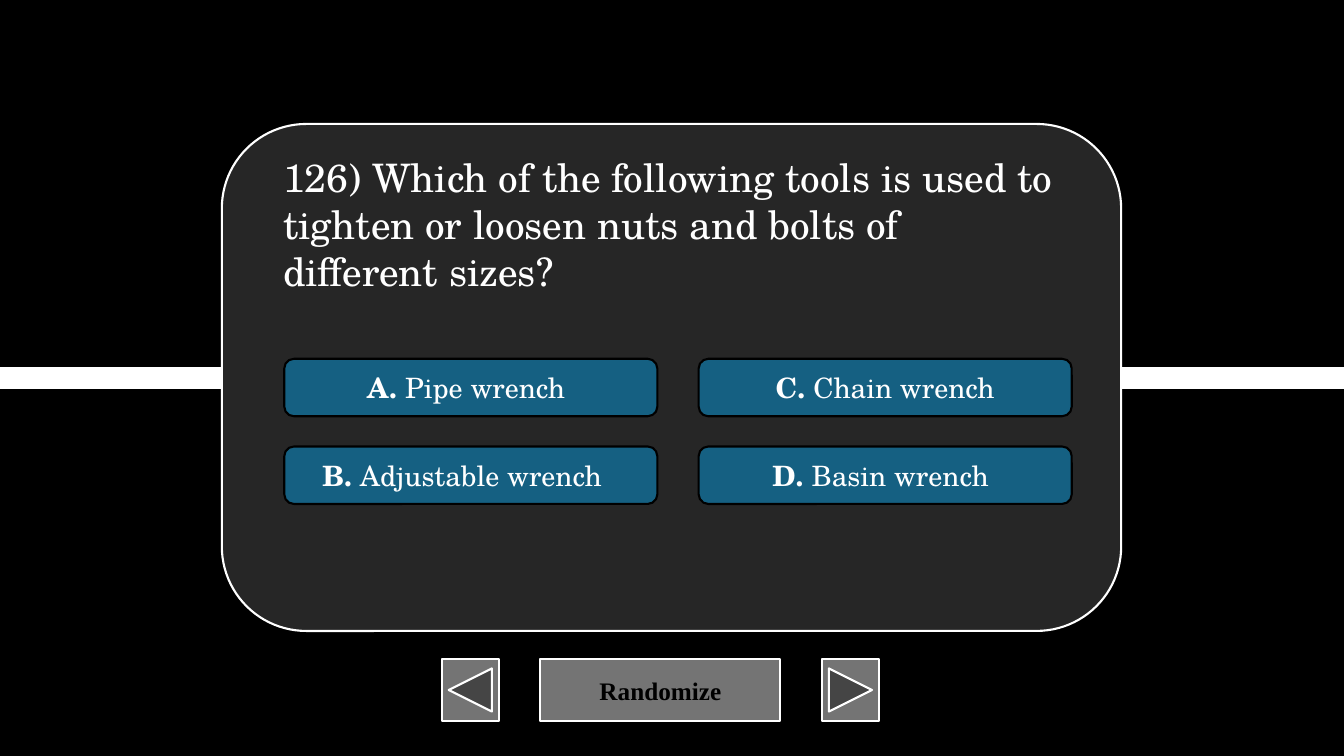
from lxml import etree
from pptx import Presentation
from pptx import util as u
from pptx.dml.color import RGBColor
from pptx.enum import shapes, text
from pptx.oxml.ns import qn

BLACK = RGBColor(0x00, 0x00, 0x00)
WHITE = RGBColor(0xFF, 0xFF, 0xFF)
CARD_GRAY = RGBColor(0x26, 0x26, 0x26)
BUTTON_GRAY = RGBColor(0x74, 0x74, 0x74)
ANSWER_BLUE = RGBColor(0x15, 0x60, 0x82)
QUIZ_FONT = "TeX Gyre Schola"
BUTTON_FONT = "Times New Roman"
SLIDE_WIDTH, SLIDE_HEIGHT = 13.33, 7.5
SHAPE = shapes.MSO_SHAPE

QUESTION = ("126) Which of the following tools is used to tighten or loosen "
            "nuts and bolts of different sizes?")
ANSWERS = [
    ("A. ", "Pipe wrench", 0.09),
    ("B. ", "Adjustable wrench", 0.17),
    ("C. ", "Chain wrench", 0),
    ("D. ", "Basin wrench", 0.09),
]


def add_span(para, words, *, size, font, color, bold=False):
    """Append a formatted run to a paragraph."""
    span = para.add_run()
    span.text = words
    span.font.size = u.Pt(size)
    span.font.name = font
    span.font.bold = bold
    span.font.color.rgb = color


def add_box(page, kind, left, top, width, height, fill, line):
    """Add a filled, outlined shape and return it."""
    box = page.shapes.add_shape(kind, u.Inches(left), u.Inches(top),
                                u.Inches(width), u.Inches(height))
    box.shadow.inherit = False
    box.fill.solid()
    box.fill.fore_color.rgb = fill
    box.line.color.rgb = line
    box.line.width = u.Pt(1.5)
    return box


def center_para(box):
    """Return the first paragraph of a shape, centred both ways."""
    box.text_frame.vertical_anchor = text.MSO_ANCHOR.MIDDLE
    para = box.text_frame.paragraphs[0]
    para.alignment = text.PP_ALIGN.CENTER
    return para


def add_band(page, left, middle, width):
    """Draw the thick white line behind the card."""
    band = page.shapes.add_connector(
        shapes.MSO_CONNECTOR.STRAIGHT, u.Inches(left), u.Inches(middle),
        u.Inches(left + width), u.Inches(middle))
    band.line.color.rgb = WHITE
    band.line.width = u.Pt(16)
    etree.SubElement(band._element.spPr, qn("a:effectLst"))


def add_navigation(page, left, top, width, height):
    """Place the randomize button between the back and next buttons."""
    arrow, gap = 0.57, 0.41
    middle = width - 2 * (arrow + gap)
    buttons = [
        (SHAPE.ACTION_BUTTON_CUSTOM, arrow + gap, middle, "Randomize"),
        (SHAPE.ACTION_BUTTON_BACK_OR_PREVIOUS, 0, arrow, ""),
        (SHAPE.ACTION_BUTTON_FORWARD_OR_NEXT, width - arrow, arrow, ""),
    ]
    for kind, offset, size, label in buttons:
        button = add_box(page, kind, left + offset, top, size, height,
                         BUTTON_GRAY, WHITE)
        if label:
            add_span(center_para(button), label, size=18, font=BUTTON_FONT,
                     color=BLACK, bold=True)


def add_answers(page, left, top, width, height):
    """Lay the answers out in two columns, filled downwards."""
    answer_width, answer_height = 3.7, 0.57
    for index, (letter, answer, nudge) in enumerate(ANSWERS):
        column, row = divmod(index, 2)
        box = add_box(page, SHAPE.ROUNDED_RECTANGLE,
                      left + column * (width - answer_width),
                      top + row * (height - answer_height),
                      answer_width, answer_height, ANSWER_BLUE, BLACK)
        box.text_frame.margin_right = u.Inches(0.1 + nudge)
        para = center_para(box)
        for words, bold in ((letter, True), (answer, False)):
            add_span(para, words, size=20, font=QUIZ_FONT, color=WHITE,
                     bold=bold)


def add_question(page, left, top, width, height):
    """Write the question in a wrapping text box."""
    box = page.shapes.add_textbox(u.Inches(left), u.Inches(top),
                                  u.Inches(width), u.Inches(height))
    box.text_frame.word_wrap = True
    box.text_frame.auto_size = text.MSO_AUTO_SIZE.SHAPE_TO_FIT_TEXT
    add_span(box.text_frame.paragraphs[0], QUESTION, size=28,
             font=QUIZ_FONT, color=WHITE)


def add_card(page, left, top, width, height):
    """Draw the card with its answers and question."""
    add_box(page, SHAPE.ROUNDED_RECTANGLE, left, top, width, height,
            CARD_GRAY, WHITE)
    add_answers(page, left + 0.62, top + 2.33, 7.81, 1.44)
    add_question(page, left + 0.51, top + 0.24, 7.92, 1.51)


def main():
    """Build the quiz slide and save it."""
    deck = Presentation()
    deck.slide_width = u.Inches(SLIDE_WIDTH)
    deck.slide_height = u.Inches(SLIDE_HEIGHT)
    page = deck.slides.add_slide(deck.slide_layouts[6])
    page.background.fill.solid()
    page.background.fill.fore_color.rgb = BLACK
    add_band(page, 0, SLIDE_HEIGHT / 2, SLIDE_WIDTH)
    add_navigation(page, 4.38, 6.54, 4.34, 0.61)
    add_card(page, 2.2, 1.23, 8.92, 5.03)
    deck.save("out.pptx")


if __name__ == "__main__":
    main()
